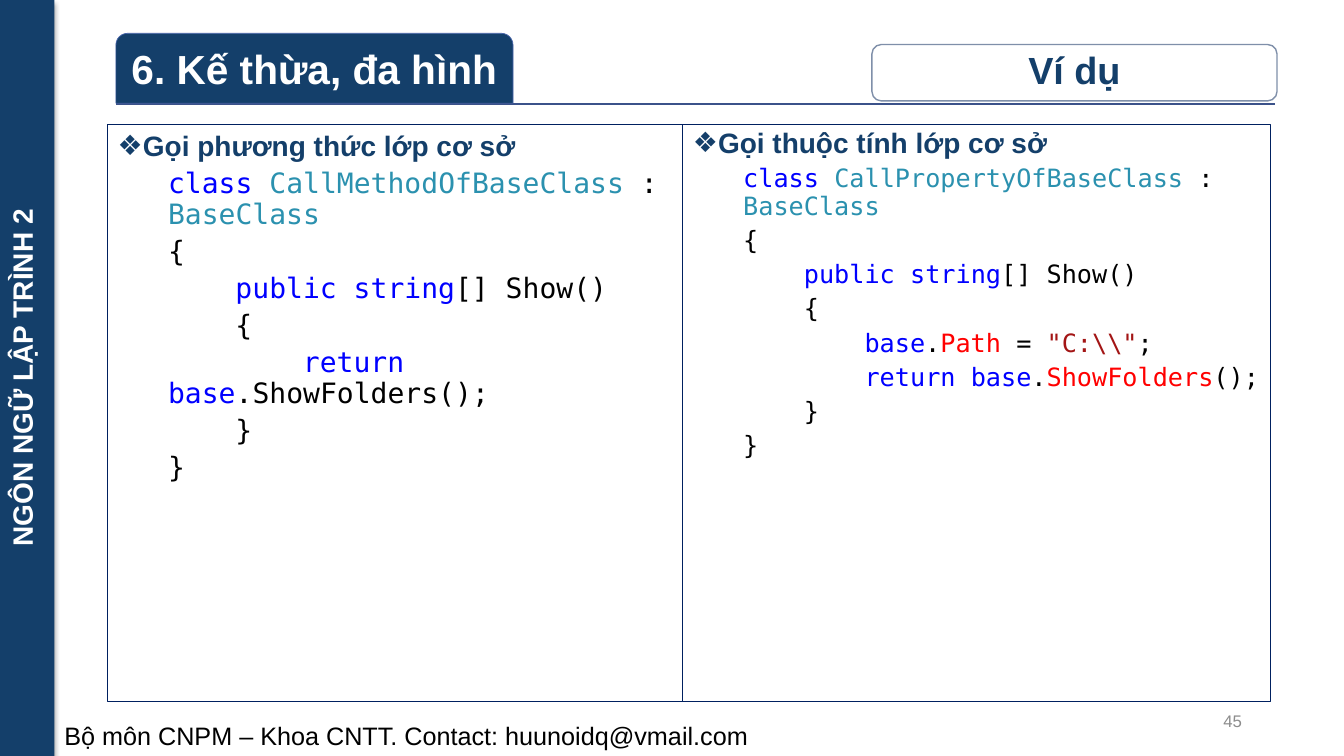
from lxml.etree import SubElement
from pptx import Presentation
from pptx.dml.color import RGBColor
from pptx.enum.shapes import MSO_CONNECTOR as CONN, MSO_SHAPE as SHAPE
from pptx.enum.text import MSO_ANCHOR as ANCHOR, PP_ALIGN as ALIGN
from pptx.oxml.ns import qn
from pptx.util import Pt

SANS, MONO = "Arial", "DejaVu Sans Mono"
NAVY, WHITE, BLACK = "143F6A", "FFFFFF", "000000"
BLUE, TEAL, RED, MAROON = "0000FF", "2B91AF", "FF0000", "A31515"
MONO_WIDTH = 0.602

SHOW = [("public", BLUE), (" ", BLACK), ("string", BLUE), ("[] Show()", BLACK)]
OPEN, CLOSE = [("{", BLACK)], [("}", BLACK)]
RETURN_BASE = [("return", BLUE), (" ", BLACK), ("base", BLUE)]
METHOD_BODY = [RETURN_BASE + [(".ShowFolders();", BLACK)]]
PROPERTY_BODY = [
    [("base", BLUE), (".", BLACK), ("Path", RED), (" = ", BLACK),
     (r'"C:\\"', MAROON), (";", BLACK)],
    RETURN_BASE + [(".", BLACK), ("ShowFolders", RED), ("();", BLACK)],
]


def rgb(color):
    """Turn a hex string into a colour."""
    return RGBColor.from_string(color)


def add_box(s, kind, box, fill=None, line=None, weight=1):
    """Add a preset shape without a shadow."""
    sp = s.shapes.add_shape(kind, *map(Pt, box))
    sp.shadow.inherit = False
    if fill:
        sp.fill.solid()
        sp.fill.fore_color.rgb = rgb(fill)
    else:
        sp.fill.background()
    if line:
        sp.line.color.rgb = rgb(line)
        sp.line.width = Pt(weight)
    else:
        sp.line.fill.background()
    return sp


def set_frame(sp, anchor=ANCHOR.TOP, side=7.2, edge=3.6):
    """Set wrapping, anchor and margins and return the text frame."""
    tf = sp.text_frame
    tf.word_wrap = True
    tf.vertical_anchor = anchor
    tf.margin_left = tf.margin_right = Pt(side)
    tf.margin_top = tf.margin_bottom = Pt(edge)
    return tf


def add_run(p, text, size, color, bold=False, font=SANS):
    """Append one styled run."""
    r = p.add_run()
    r.text = text
    r.font.size, r.font.name, r.font.bold = Pt(size), font, bold
    r.font.color.rgb = rgb(color)


def add_label(sp, text, size, color, bold=False, align=ALIGN.LEFT, spacing=1.0, **frame):
    """Write a single paragraph into a shape."""
    p = set_frame(sp, **frame).paragraphs[0]
    p.alignment, p.line_spacing = align, spacing
    add_run(p, text, size, color, bold)


def add_sidebar(s, box):
    """Draw the vertical course banner."""
    sp = add_box(s, SHAPE.RECTANGLE, box, NAVY)
    effects = sp._element.spPr.find(qn("a:effectLst"))
    shadow = SubElement(effects, qn("a:outerShdw"), blurRad=str(Pt(3.5)),
                        dist=str(Pt(2.2)), dir="5400000", rotWithShape="0")
    tint = SubElement(shadow, qn("a:srgbClr"), val=BLACK)
    SubElement(tint, qn("a:alpha"), val="32000")
    add_label(sp, "NGÔN NGỮ LẬP TRÌNH 2", 20, WHITE, True, ALIGN.CENTER)
    sp.text_frame._txBody.bodyPr.set("vert", "vert270")


def add_header(s, box):
    """Draw the chapter tab, the topic badge and the rule below them."""
    x, y, w, h = box
    rule = s.shapes.add_connector(CONN.STRAIGHT, Pt(x), Pt(y + h), Pt(x + w), Pt(y + h))
    rule.line.color.rgb = rgb("3B528A")
    rule.line.width = Pt(1)
    SubElement(rule._element.spPr, qn("a:effectLst"))
    tab = add_box(s, SHAPE.ROUND_2_SAME_RECTANGLE, (x, y, 283.7, h - 0.5), NAVY, "4A66AC", 0.5)
    add_label(tab, "6. Kế thừa, đa hình", 29, WHITE, True, ALIGN.CENTER, 0.9,
              anchor=ANCHOR.MIDDLE, side=4)
    tab.text_frame.margin_top = Pt(6)
    badge = add_box(s, SHAPE.ROUNDED_RECTANGLE, (x + 540, y + 8, 289.4, 40.3), WHITE, "7F8FA9")
    add_label(badge, "Ví dụ", 27, NAVY, True, ALIGN.CENTER, 0.9, anchor=ANCHOR.MIDDLE)


def add_code_panel(s, box, heading, class_name, body, size, spacing):
    """Draw a framed panel with a bulleted heading and a class listing."""
    tf = set_frame(add_box(s, SHAPE.RECTANGLE, box, line="002060", weight=0.75))
    tf.margin_right = Pt(6)
    p = tf.paragraphs[0]
    p.alignment, p.line_spacing = ALIGN.LEFT, spacing
    pPr = p._p.get_or_add_pPr()
    pPr.set("marL", str(Pt(18)))
    pPr.set("indent", str(Pt(-18)))
    SubElement(pPr, qn("a:buFont"), typeface=SANS)
    SubElement(pPr, qn("a:buChar"), char="❖")
    add_run(p, heading, 20, NAVY, True)

    opening = [("class", BLUE), (" ", BLACK), (class_name, TEAL), (" : ", BLACK),
               ("BaseClass", TEAL)]
    lines = [(0, opening), (0, OPEN), (1, SHOW), (1, OPEN),
             *((2, runs) for runs in body), (1, CLOSE), (0, CLOSE)]
    for depth, runs in lines:
        p = tf.add_paragraph()
        p.alignment, p.line_spacing, p.space_before = ALIGN.LEFT, 0.9, Pt(5)
        pPr = p._p.get_or_add_pPr()
        pPr.set("marL", str(Pt(36)))
        pPr.set("indent", str(Pt(depth * 4 * MONO_WIDTH * size)))
        for text, color in runs:
            add_run(p, text, size, color, font=MONO)


def add_footer(s, box):
    """Write the contact line and the slide number."""
    x, y, w, h = box
    contact = s.shapes.add_textbox(*map(Pt, box))
    add_label(contact, "Bộ môn CNPM – Khoa CNTT. Contact: huunoidq@vmail.com", 18, BLACK)
    number = s.shapes.add_textbox(Pt(x + w - 281.7), Pt(y - 10.8), Pt(216), Pt(h))
    add_label(number, "45", 12, "8C8C8C", align=ALIGN.RIGHT, anchor=ANCHOR.MIDDLE)


def main():
    """Build the slide and save it."""
    prs = Presentation()
    prs.slide_width, prs.slide_height = Pt(960), Pt(540)
    s = prs.slides.add_slide(prs.slide_layouts[6])
    add_sidebar(s, (0, 0, 38.9, 540))
    add_footer(s, (38.9, 511.2, 921.1, 28.8))
    add_header(s, (82.8, 23.8, 828, 50.4))
    top, height = 88.6, 412.6
    add_code_panel(s, (77, top, 410.8, height), "Gọi phương thức lớp cơ sở",
                   "CallMethodOfBaseClass", METHOD_BODY, 20, 1.0)
    add_code_panel(s, (487.8, top, 419.4, height), "Gọi thuộc tính lớp cơ sở",
                   "CallPropertyOfBaseClass", PROPERTY_BODY, 18, 0.9)
    prs.save("out.pptx")


if __name__ == "__main__":
    main()
